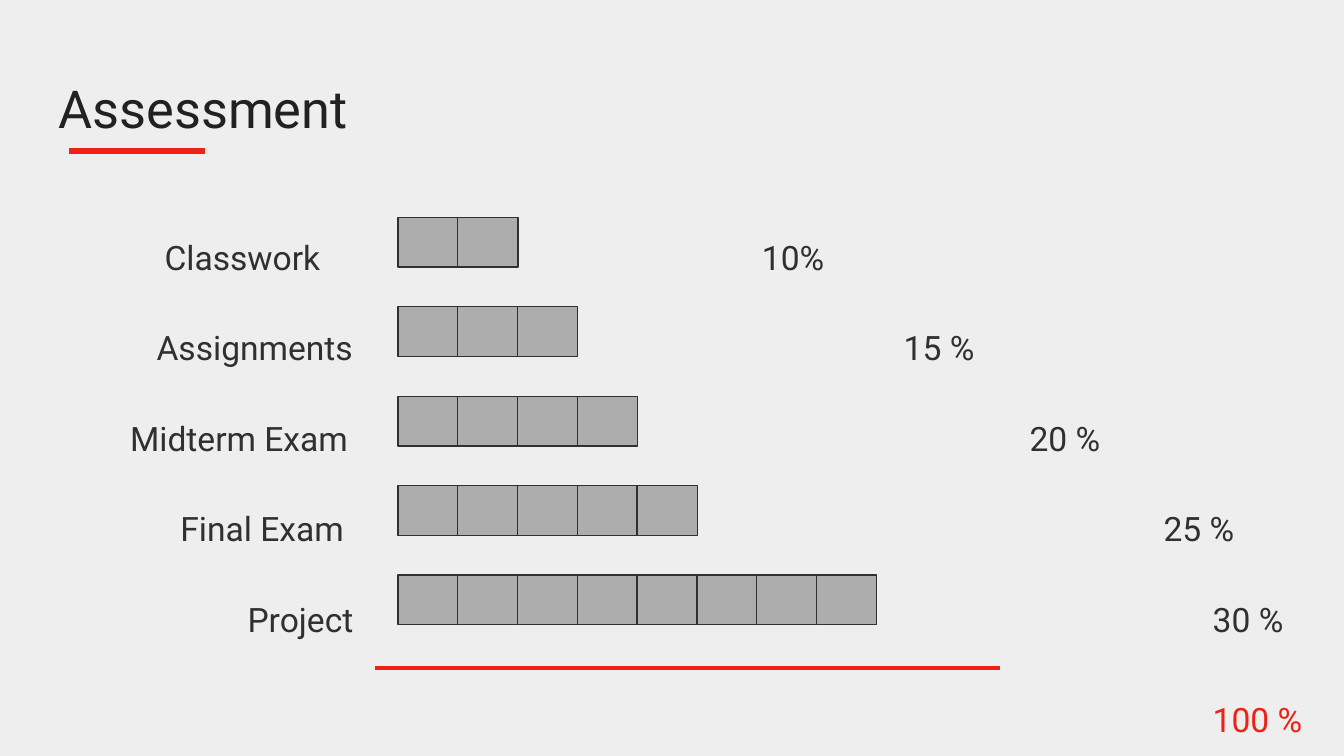
from lxml import etree
from pptx import Presentation
from pptx.dml.color import RGBColor
from pptx.enum.shapes import MSO_CONNECTOR, MSO_SHAPE
from pptx.enum.text import MSO_ANCHOR
from pptx.oxml.ns import qn
from pptx.util import Cm, Pt

RECT = MSO_SHAPE.RECTANGLE
LINE = MSO_CONNECTOR.STRAIGHT
MIDDLE = MSO_ANCHOR.MIDDLE

FONT = "Roboto"
COLORS = {
    "back": "EEEEEE",
    "title": "212121",
    "dark": "303030",
    "gray": "ADADAD",
    "red": "EE2214",
}
ROWS = [
    ("Classwork", 3.11, 2, "10%", 14.4),
    ("Assignments", 2.96, 3, "15 %", 17.08),
    ("Midterm Exam", 2.46, 4, "20 %", 19.46),
    ("Final Exam", 3.41, 5, "25 %", 21.99),
    ("Project", 4.68, 8, "30 %", 22.92),
]
BAR_LEFT, BAR_TOP, BAR_STEP = 7.52, 4.11, 1.69
CELL_STEP, CELL_WIDTH, CELL_HEIGHT = 1.13, 1.14, 0.94
TEXT_TOP, TEXT_STEP, TEXT_HEIGHT = 4.36, 1.71, 1


def color(name):
    return RGBColor.from_string(COLORS[name])


def add_text(slide, text, left, top, width, height, size=18, tone="dark", inset=0):
    box = slide.shapes.add_textbox(Cm(left), Cm(top), Cm(width), Cm(height))
    frame = box.text_frame
    frame.text = text
    frame.word_wrap = True
    frame.vertical_anchor = MIDDLE
    frame.margin_left = frame.margin_right = Cm(inset)
    frame.margin_top = frame.margin_bottom = Cm(inset)
    font = frame.paragraphs[0].runs[0].font
    font.name = FONT
    font.size = Pt(size)
    font.color.rgb = color(tone)


def add_rule(slide, left, right, top, weight):
    rule = slide.shapes.add_connector(LINE, Cm(left), Cm(top), Cm(right), Cm(top))
    rule.line.color.rgb = color("red")
    rule.line.width = Pt(weight)
    etree.SubElement(rule._element.spPr, qn("a:effectLst"))


def add_bar(slide, top, count):
    group = slide.shapes.add_group_shape()
    for index in range(count):
        left = BAR_LEFT + index * CELL_STEP
        cell = group.shapes.add_shape(
            RECT, Cm(left), Cm(top), Cm(CELL_WIDTH), Cm(CELL_HEIGHT)
        )
        cell.shadow.inherit = False
        cell.fill.solid()
        cell.fill.fore_color.rgb = color("gray")
        cell.line.color.rgb = color("dark")
        cell.line.width = Pt(0.75)


def add_row(slide, index, row):
    label, label_left, count, value, value_left = row
    top = TEXT_TOP + index * TEXT_STEP
    add_text(slide, label, label_left, top, 4.8, TEXT_HEIGHT)
    add_text(slide, value, value_left, top, 2.4, TEXT_HEIGHT)
    add_bar(slide, BAR_TOP + index * BAR_STEP, count)


def main():
    deck = Presentation()
    deck.slide_width = Cm(25.4)
    deck.slide_height = Cm(14.29)
    slide = deck.slides.add_slide(deck.slide_layouts[6])
    slide.background.fill.solid()
    slide.background.fill.fore_color.rgb = color("back")

    add_rule(slide, 1.3, 3.88, 2.85, 3)
    add_text(slide, "Assessment", 0.86, 1.24, 23.67, 1.6, 28, "title", 0.25)
    for index, row in enumerate(ROWS):
        add_row(slide, index, row)
    add_rule(slide, 7.08, 18.9, 12.62, 2.25)
    add_text(slide, "100 %", 22.92, 13.09, 2.4, TEXT_HEIGHT, tone="red")
    deck.save("out.pptx")


main()
